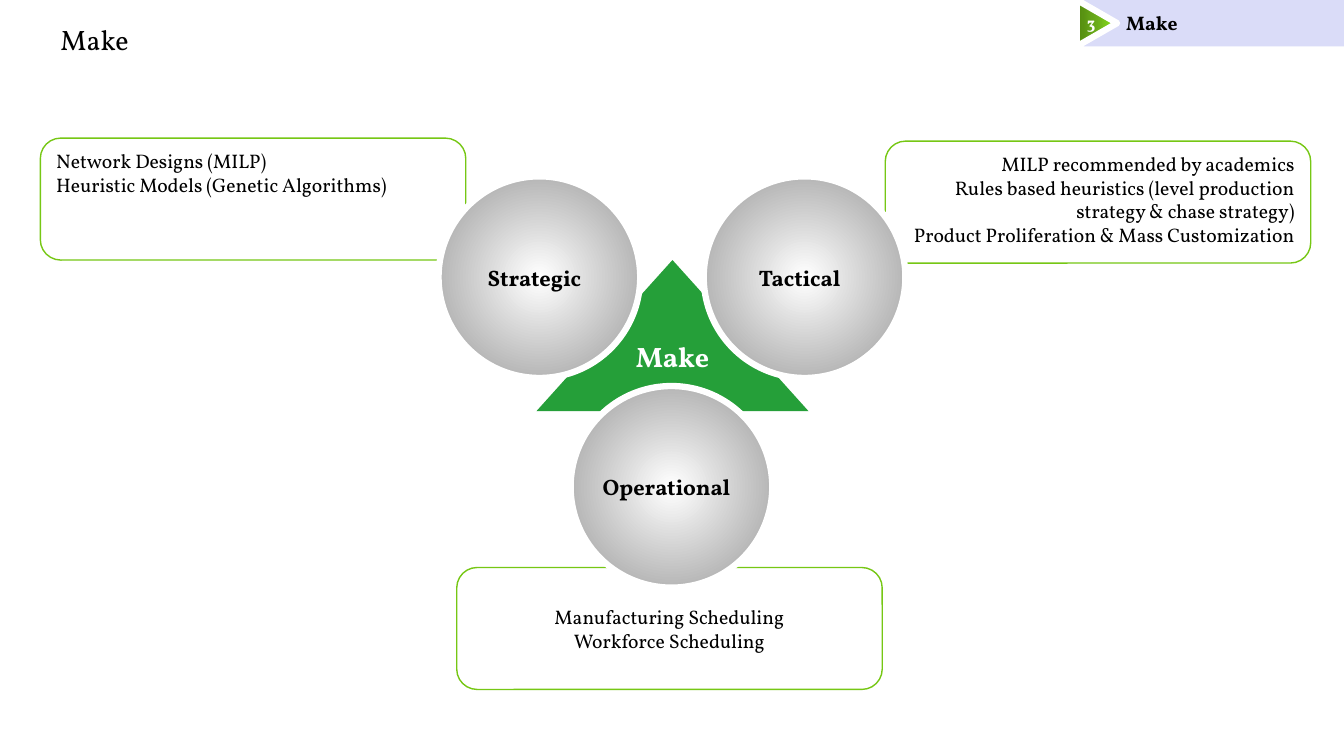
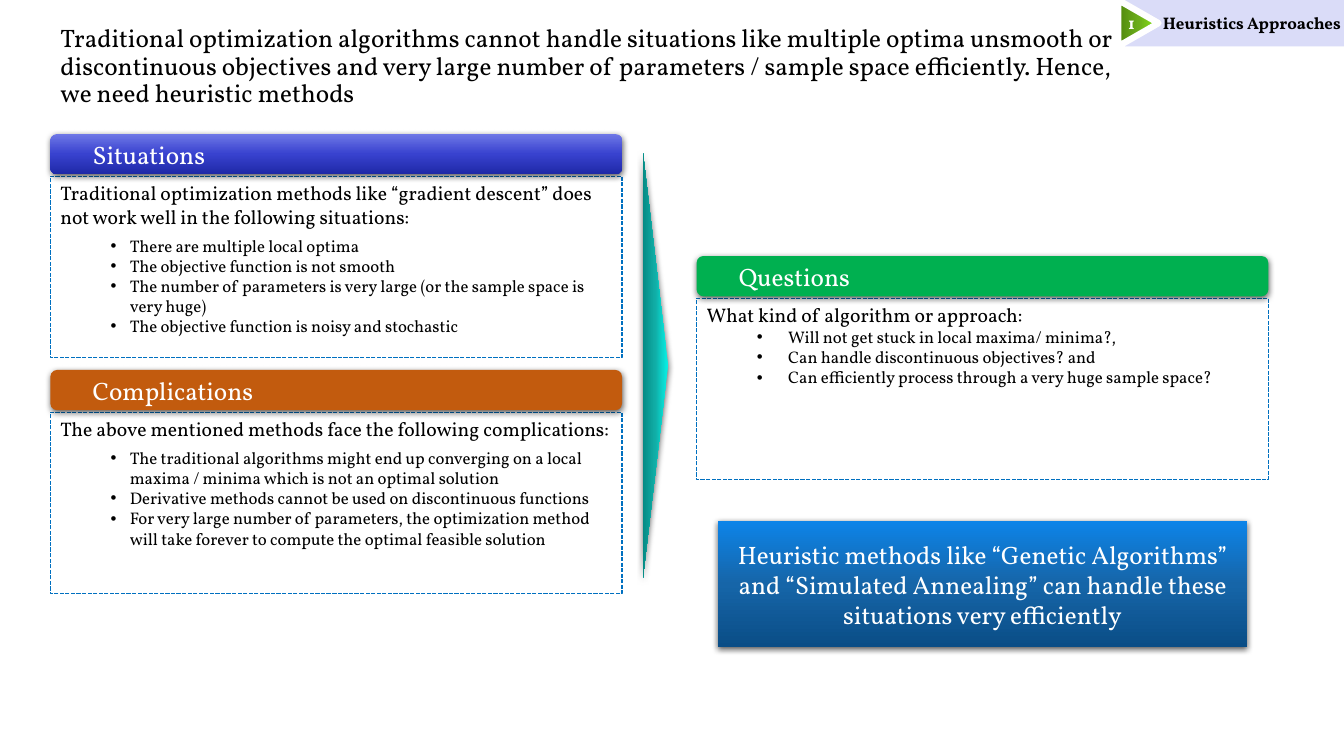
import lxml.etree
import pptx
import pptx.dml.color
import pptx.enum.dml
import pptx.enum.shapes
import pptx.enum.text
import pptx.oxml.ns
import pptx.util

Inches = pptx.util.Inches
Pt = pptx.util.Pt
SHAPE = pptx.enum.shapes.MSO_SHAPE
ALIGN = pptx.enum.text.PP_ALIGN
ANCHOR = pptx.enum.text.MSO_ANCHOR
qn = pptx.oxml.ns.qn
sub = lxml.etree.SubElement

# Shared style
FONT = "Vollkorn"
BLACK, WHITE = "000000", "FFFFFF"
TAG_FILL, LIME, DASH_BLUE = "DADCF8", "76C714", "0070C0"
BADGE_GREEN = ["8BEB17", "6BAC1B", "51890E"]
SPHERE = ["FFFFFF", "979797"]
INSETS = (0.1, 0.05, 0.1, 0.05)


def rgb(color):
    return pptx.dml.color.RGBColor.from_string(color)


def add_box(s, kind, at, lines=(), size=14, color=BLACK, bold=False,
            align=ALIGN.LEFT, anchor=ANCHOR.MIDDLE, insets=INSETS,
            fill=None, radial=False, line=None, width=1, shadow=False):
    """Add a shape with text; a list as fill makes a gradient."""
    sp = s.shapes.add_shape(kind, *[Inches(v) for v in at])
    sp.shadow.inherit = False
    sp_pr = sp.element.spPr
    if fill is None:
        sp.fill.background()
    elif isinstance(fill, str):
        sp.fill.solid()
        sp.fill.fore_color.rgb = rgb(fill)
    else:
        sp.fill.gradient()
        sp.fill.gradient_angle = 270
        grad = sp_pr.find(qn("a:gradFill"))
        stops = grad.find(qn("a:gsLst"))
        for old in list(stops):
            stops.remove(old)
        for i, stop in enumerate(fill):
            gs = sub(stops, qn("a:gs"), pos=str(100000 * i // (len(fill) - 1)))
            sub(gs, qn("a:srgbClr"), val=stop)
        if radial:
            grad.remove(grad.find(qn("a:lin")))
            circle = sub(grad, qn("a:path"), path="circle")
            sub(circle, qn("a:fillToRect"), l="50000", t="50000", r="50000", b="50000")
    if line:
        sp.line.color.rgb = rgb(line)
        sp.line.width = Pt(width)
    else:
        sp.line.fill.background()
    if shadow:
        outer = sub(sp_pr.find(qn("a:effectLst")), qn("a:outerShdw"), blurRad=str(Pt(4.5)),
                    dist=str(Pt(1.5)), dir="5400000", rotWithShape="0")
        sub(sub(outer, qn("a:srgbClr"), val=BLACK), qn("a:alpha"), val="63000")
    tf = sp.text_frame
    tf.word_wrap = True
    tf.vertical_anchor = anchor
    tf.margin_left, tf.margin_top, tf.margin_right, tf.margin_bottom = [Inches(v) for v in insets]
    for i, text in enumerate(lines):
        p = tf.add_paragraph() if i else tf.paragraphs[0]
        p.text = text
        p.alignment = align
        p.font.name, p.font.size, p.font.bold = FONT, Pt(size), bold
        p.font.color.rgb = rgb(color)
    return sp


prs = pptx.Presentation()
prs.slide_width, prs.slide_height = Inches(13.33), Inches(7.5)
layout = prs.slide_layouts[5]
sp = layout.placeholders[0]
sp.left, sp.top, sp.width, sp.height = [Inches(v) for v in (0.5, 0.21, 10.67, 1)]

# Title and corner tag of each slide:
# title, size, tag text, tag size, tag left, tag width, alignment, insets, number
pages = [
    ("Make", 20, "Make", 14, 10.75, 2.58, ALIGN.LEFT, (0.42, 0.05, 0.1, 0.05), "3"),
    ("Traditional optimization algorithms cannot handle situations like multiple optima "
     "unsmooth or discontinuous objectives and very large number of parameters / sample "
     "space efficiently. Hence, we need heuristic methods",
     18, "Heuristics Approaches", 12, 11.16, 2.17, ALIGN.RIGHT, (0, 0.05, 0.03, 0.05), "1"),
]
for title, size, tag, tag_size, x, w, align, insets, number in pages:
    s = prs.slides.add_slide(layout)
    tf = s.shapes.title.text_frame
    tf.text = title
    tf.auto_size = pptx.enum.text.MSO_AUTO_SIZE.NONE
    tf.vertical_anchor = ANCHOR.TOP
    p = tf.paragraphs[0]
    p.alignment, p.line_spacing = ALIGN.LEFT, 0.9
    p.font.name, p.font.size = FONT, Pt(size)
    p.font.color.rgb = rgb(BLACK)
    add_box(s, SHAPE.RECTANGLE, (x, 0, w, 0.46), [tag], tag_size, bold=True,
            align=align, insets=insets, fill=TAG_FILL)
    sp = add_box(s, SHAPE.ISOSCELES_TRIANGLE, (x - 0.1, 0.03, 0.46, 0.4), [number], 12, WHITE,
                 True, ALIGN.CENTER, fill=BADGE_GREEN, line=WHITE, width=4.5)
    sp.rotation = 90
    sp.element.txBody.bodyPr.set("vert", "vert270")

make, heuristics = prs.slides

# Make: outlined notes
notes = [
    (4.53, 5.63, ALIGN.CENTER, ANCHOR.MIDDLE,
     ["Manufacturing Scheduling", "Workforce Scheduling"]),
    (8.78, 1.4, ALIGN.RIGHT, ANCHOR.TOP,
     ["MILP recommended by academics",
      "Rules based heuristics (level production strategy & chase strategy)",
      "Product Proliferation & Mass Customization"]),
    (0.4, 1.37, ALIGN.LEFT, ANCHOR.TOP,
     ["Network Designs (MILP)", "Heuristic Models (Genetic Algorithms)"]),
]
for x, y, align, anchor, lines in notes:
    add_box(make, SHAPE.ROUNDED_RECTANGLE, (x, y, 4.22, 1.21), lines,
            align=align, anchor=anchor, line=LIME)

# Make: central triangle with three spheres
add_box(make, SHAPE.ISOSCELES_TRIANGLE, (5.32, 2.58, 2.7, 1.5), ["Make"], 20, WHITE, True,
        ALIGN.CENTER, insets=(0.1, 0.05, 0.1, 0.38), fill="259F39")
for label, x, y in [("Tactical", 6.98, 1.75), ("Strategic", 4.35, 1.75),
                    ("Operational", 5.66, 3.83)]:
    add_box(make, SHAPE.OVAL, (x, y, 2, 2), [label], 16, bold=True, align=ALIGN.CENTER,
            insets=(0, 0.05, 0.1, 0.05), fill=SPHERE, radial=True, line=WHITE, width=4.5)

# Heuristics: panels as heading, fill, left, top, bullet indent, hanging, gap, intro, bullets
panels = [
    ("Situations", ["6E77E6", "3842CF", "1F29A7"], 0.5, 1.33, 0.69, 0.19, 5,
     "Traditional optimization methods like “gradient descent” does not work well in the "
     "following situations:",
     ["There are multiple local optima",
      "The objective function is not smooth",
      "The number of parameters is very large (or the sample space is very huge)",
      "The objective function is noisy and stochastic"]),
    ("Complications", "C25B0E", 0.5, 3.67, 0.69, 0.19, 5,
     "The above mentioned methods face the following complications:",
     ["The traditional algorithms might end up converging on a local maxima / minima which "
      "is not an optimal solution",
      "Derivative methods cannot be used on discontinuous functions",
      "For very large number of parameters, the optimization method will take forever to "
      "compute the optimal feasible solution"]),
    ("Questions", "00B050", 6.91, 2.54, 0.81, 0.31, 0,
     "What kind of algorithm or approach:",
     ["Will not get stuck in local maxima/ minima?,",
      "Can handle discontinuous objectives? and",
      "Can efficiently process through a very huge sample space?"]),
]
for heading, fill, x, y, indent, hanging, gap, intro, bullets in panels:
    sp = add_box(heuristics, SHAPE.RECTANGLE, (x, y + 0.42, 5.67, 1.8), [intro] + bullets,
                 anchor=ANCHOR.TOP, line=DASH_BLUE)
    sp.line.dash_style = pptx.enum.dml.MSO_LINE.SQUARE_DOT
    intro_p, *bullet_ps = sp.text_frame.paragraphs
    intro_p.space_after = Pt(gap)
    for p in bullet_ps:
        p.font.size = Pt(12)
        p_pr = p._p.get_or_add_pPr()
        p_pr.set("marL", str(Inches(indent)))
        p_pr.set("indent", str(-Inches(hanging)))
        # Bullet settings come before the paragraph's font settings
        bullet_font = lxml.etree.Element(qn("a:buFont"), typeface="Arial")
        bullet_char = lxml.etree.Element(qn("a:buChar"), char="•")
        p_pr.find(qn("a:defRPr")).addprevious(bullet_font)
        bullet_font.addnext(bullet_char)
    add_box(heuristics, SHAPE.ROUNDED_RECTANGLE, (x, y, 5.67, 0.4), [heading], 18, WHITE,
            insets=(0.4, 0.05, 0.1, 0.05), fill=fill, shadow=True)

# Heuristics: pointer and conclusion
sp = add_box(heuristics, SHAPE.ISOSCELES_TRIANGLE, (4.38, 3.5, 4.24, 0.25),
             fill=["06F2E7", "11AEA7", "068B85"], shadow=True)
sp.rotation = 90
add_box(heuristics, SHAPE.RECTANGLE, (7.12, 5.17, 5.25, 1.25),
        ["Heuristic methods like “Genetic Algorithms” and “Simulated Annealing” can handle "
         "these situations very efficiently"],
        18, WHITE, align=ALIGN.CENTER, fill=["0D84E8", "1665A8", "0A4D86"], shadow=True)

prs.save("out.pptx")
